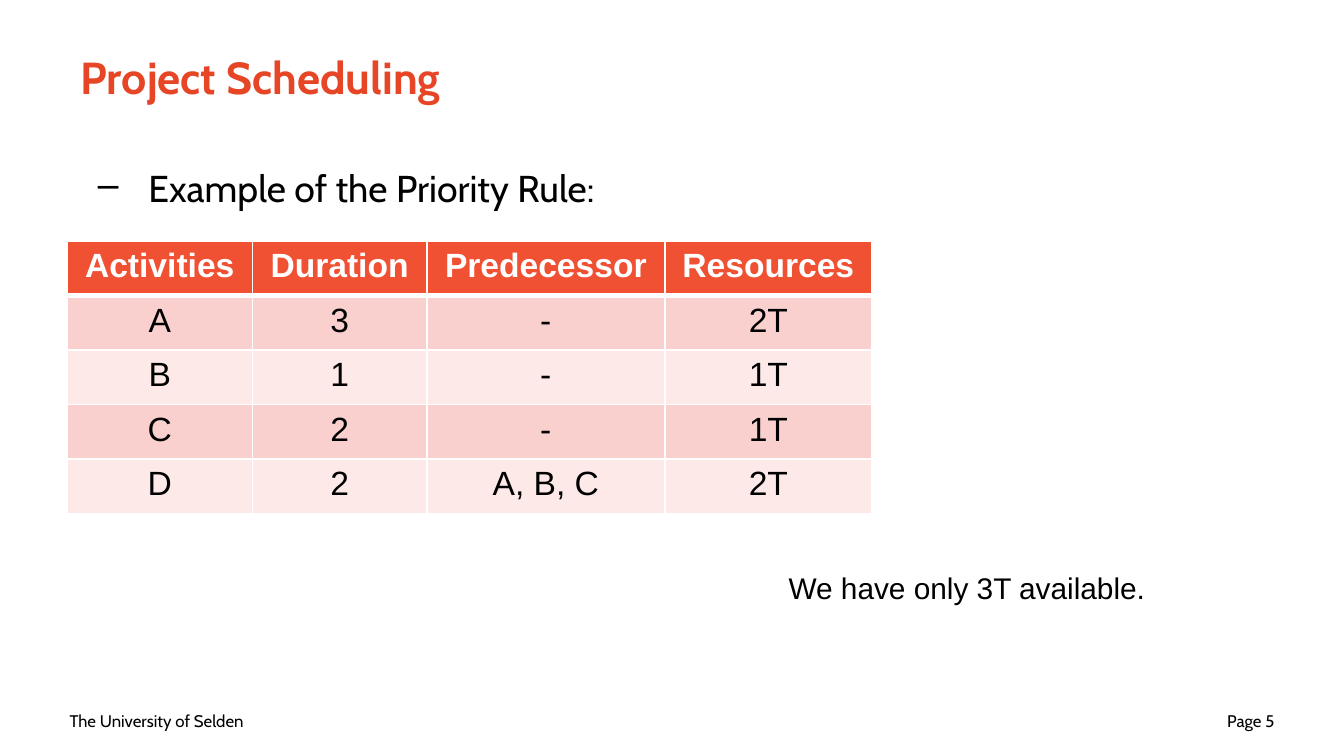
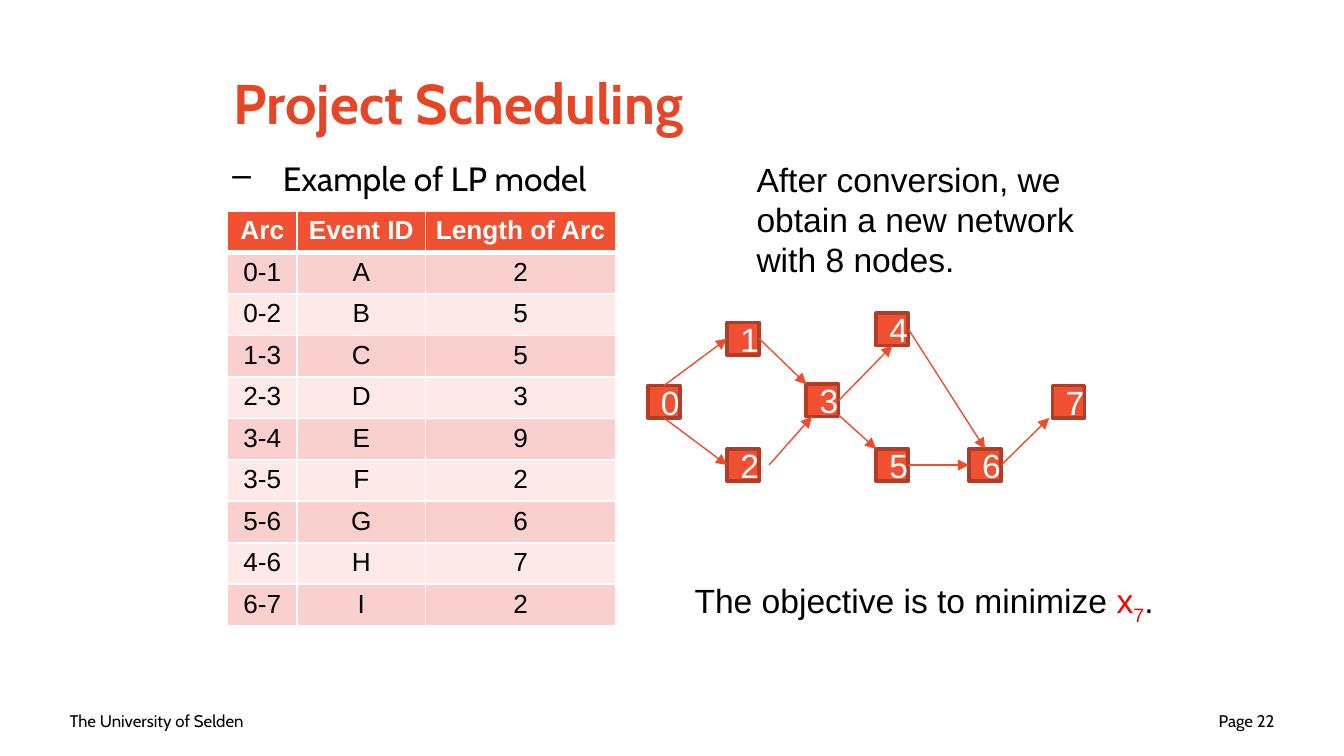
from lxml import etree
from pptx import Presentation
from pptx.dml.color import RGBColor
from pptx.enum.shapes import MSO_CONNECTOR, MSO_SHAPE
from pptx.enum.text import MSO_ANCHOR, MSO_AUTO_SIZE, PP_ALIGN
from pptx.oxml.ns import qn
from pptx.util import Pt

LEFT, CENTER, RIGHT = PP_ALIGN.LEFT, PP_ALIGN.CENTER, PP_ALIGN.RIGHT
TOP, MIDDLE = MSO_ANCHOR.TOP, MSO_ANCHOR.MIDDLE
RECT, STRAIGHT = MSO_SHAPE.RECTANGLE, MSO_CONNECTOR.STRAIGHT
NO_FIT = MSO_AUTO_SIZE.NONE
TITLE_ONLY = 5

COLORS = {
    "title": "E64626", "text": "000000", "white": "FFFFFF", "accent": "F05133",
    "edge": "B23C26", "arrow": "EF4C2D", "odd": "F9D0CE", "even": "FCE9E8",
    "variable": "FF0000",
}
HEAD_FONT, BODY_FONT = "Cabin", "Arial"
ORGANISATION = "The University of Selden"
NODE = 17.3


def rgb(name):
    return RGBColor.from_string(COLORS[name])


def write(p, text, size=18, font=BODY_FONT, color="text", bold=False,
          align=LEFT, baseline=0):
    """Append one formatted run to a paragraph."""
    p.alignment = align
    r = p.add_run()
    r.text = text
    r.font.size, r.font.name, r.font.bold = Pt(size), font, bold
    r.font.color.rgb = rgb(color)
    if baseline:
        r.font._element.set("baseline", str(baseline * 1000))


class Deck:
    """Shared style and the current slide."""

    def __init__(self):
        self.prs = Presentation()
        self.prs.slide_width, self.prs.slide_height = Pt(720), Pt(405)
        self.slide = None

    def new_slide(self, page, title, box, size):
        self.slide = self.prs.slides.add_slide(self.prs.slide_layouts[TITLE_ONLY])
        sp = self.slide.shapes.title
        sp.left, sp.top, sp.width, sp.height = map(Pt, box)
        tf = sp.text_frame
        tf.auto_size, tf.vertical_anchor = NO_FIT, MIDDLE
        write(tf.paragraphs[0], title, size=size, font=HEAD_FONT,
              color="title", bold=True)
        # Footer
        for left, text, align in ((30.2, ORGANISATION, LEFT),
                                  (522, f"Page {page}", RIGHT)):
            self.text((left, 375.1, 167.8, 21.6), text, anchor=MIDDLE,
                      size=9, font=HEAD_FONT, align=align)

    def text(self, box, text, anchor=TOP, **fmt):
        tf = self.slide.shapes.add_textbox(*map(Pt, box)).text_frame
        tf.word_wrap, tf.vertical_anchor = True, anchor
        p = tf.paragraphs[0]
        write(p, text, **fmt)
        return p

    def bullet(self, box, text, size):
        p = self.text(box, text, size=size, font=HEAD_FONT)
        p.line_spacing = 0.9
        pPr = p._p.get_or_add_pPr()
        pPr.set("marL", str(Pt(27)))
        pPr.set("indent", str(-Pt(27)))
        etree.SubElement(pPr, qn("a:buChar"), char="–")

    def border(self, cell, side, width):
        tcPr = cell._tc.get_or_add_tcPr()
        ln = etree.SubElement(tcPr, qn(f"a:ln{side}"), w=str(Pt(width)))
        fill = etree.SubElement(ln, qn("a:solidFill"))
        etree.SubElement(fill, qn("a:srgbClr"), val=COLORS["white"])

    def table(self, left, top, cols, row_height, rows, size, inset):
        gf = self.slide.shapes.add_table(
            len(rows), len(cols), Pt(left), Pt(top),
            Pt(sum(cols)), Pt(row_height * len(rows)))
        table = gf.table
        for col, width in zip(table.columns, cols):
            col.width = Pt(width)
        for i, row in enumerate(rows):
            table.rows[i].height = Pt(row_height)
            head = i == 0
            fill = "accent" if head else ("even", "odd")[i % 2]
            for j, text in enumerate(row):
                cell = table.cell(i, j)
                cell.margin_left = cell.margin_right = Pt(inset[0])
                cell.margin_top = cell.margin_bottom = Pt(inset[1])
                for side, thick in (("L", False), ("R", False),
                                    ("T", i == 1), ("B", head)):
                    self.border(cell, side, 3 if thick else 1)
                cell.fill.solid()
                cell.fill.fore_color.rgb = rgb(fill)
                write(cell.text_frame.paragraphs[0], text, size=size, bold=head,
                      color="white" if head else "text", align=CENTER)

    def node(self, label, left, top):
        sp = self.slide.shapes.add_shape(RECT, *map(Pt, (left, top, NODE, NODE)))
        sp.shadow.inherit = False
        sp.fill.solid()
        sp.fill.fore_color.rgb = rgb("accent")
        sp.line.color.rgb = rgb("edge")
        sp.line.width = Pt(2)
        tf = sp.text_frame
        tf.word_wrap, tf.vertical_anchor = True, MIDDLE
        write(tf.paragraphs[0], label, color="white", align=CENTER)

    def arrow(self, start, end):
        cx = self.slide.shapes.add_connector(STRAIGHT, *map(Pt, start + end))
        cx.line.color.rgb = rgb("arrow")
        cx.line.width = Pt(0.75)
        etree.SubElement(cx.line._get_or_add_ln(), qn("a:tailEnd"), type="triangle")
        etree.SubElement(cx._element.spPr, qn("a:effectLst"))


def priority_rule(deck):
    deck.new_slide(5, "Project Scheduling", (36, 7.2, 648, 67.7), 24)
    deck.bullet((45.4, 87.8, 635, 267), "Example of the Priority Rule:", 20)
    rows = [
        ("Activities", "Duration", "Predecessor", "Resources"),
        ("A", "3", "-", "2T"),
        ("B", "1", "-", "1T"),
        ("C", "2", "-", "1T"),
        ("D", "2", "A, B, C", "2T"),
    ]
    deck.table(36, 129, (99.2, 93.5, 127.5, 111), 29.2, rows, 18, (7.2, 3.6))
    deck.text((415.4, 301.7, 226, 26.6), "We have only 3T available.", size=16)


def lp_model(deck):
    deck.new_slide(22, "Project Scheduling", (118, 14.4, 484, 80.6), 30)
    deck.bullet((117.4, 83.5, 484.6, 253.4), "Example of LP model", 18)
    arcs = ("0-1", "0-2", "1-3", "2-3", "3-4", "3-5", "5-6", "4-6", "6-7")
    rows = [("Arc", "Event ID", "Length of Arc"),
            *zip(arcs, "ABCDEFGHI", "255392672")]
    deck.table(121.8, 113, (37.4, 68.8, 101.8), 22, rows, 14, (5, 2.7))
    deck.text((398.2, 81.4, 191.5, 72.7),
              "After conversion, we obtain a new network with 8 nodes.")

    # Network nodes
    nodes = [(347, 206.6), (389.5, 172.8), (389.5, 240.5), (432, 205.9),
             (469.4, 167.8), (469.4, 240.5), (519.1, 240.5), (563.8, 206.6)]
    for i, (left, top) in enumerate(nodes):
        deck.node(str(i), left, top)

    # Arcs join points given as fractions of each node's width and height
    west, east, north, south = (0, 0.5), (1, 0.5), (0.5, 0), (0.5, 1)
    corner = (0, 0)
    links = [(0, north, 1, west), (0, south, 2, west), (1, east, 3, corner),
             (2, (1.3, 0.5), 3, (0.17, 1)), (3, east, 4, south),
             (3, (1, 0.95), 5, corner), (5, east, 6, west),
             (4, east, 6, north), (6, east, 7, (-0.1, 1))]

    def point(i, at):
        return tuple(pos + NODE * f for pos, f in zip(nodes[i], at))

    for a, start, b, end in links:
        deck.arrow(point(a, start), point(b, end))

    # Objective
    p = deck.text((365, 307.4, 325.4, 28.8), "The objective is to minimize ")
    write(p, "x", color="variable")
    write(p, "7", color="variable", baseline=-25)
    write(p, ".")


def main():
    deck = Deck()
    priority_rule(deck)
    lp_model(deck)
    deck.prs.save("out.pptx")


if __name__ == "__main__":
    main()
